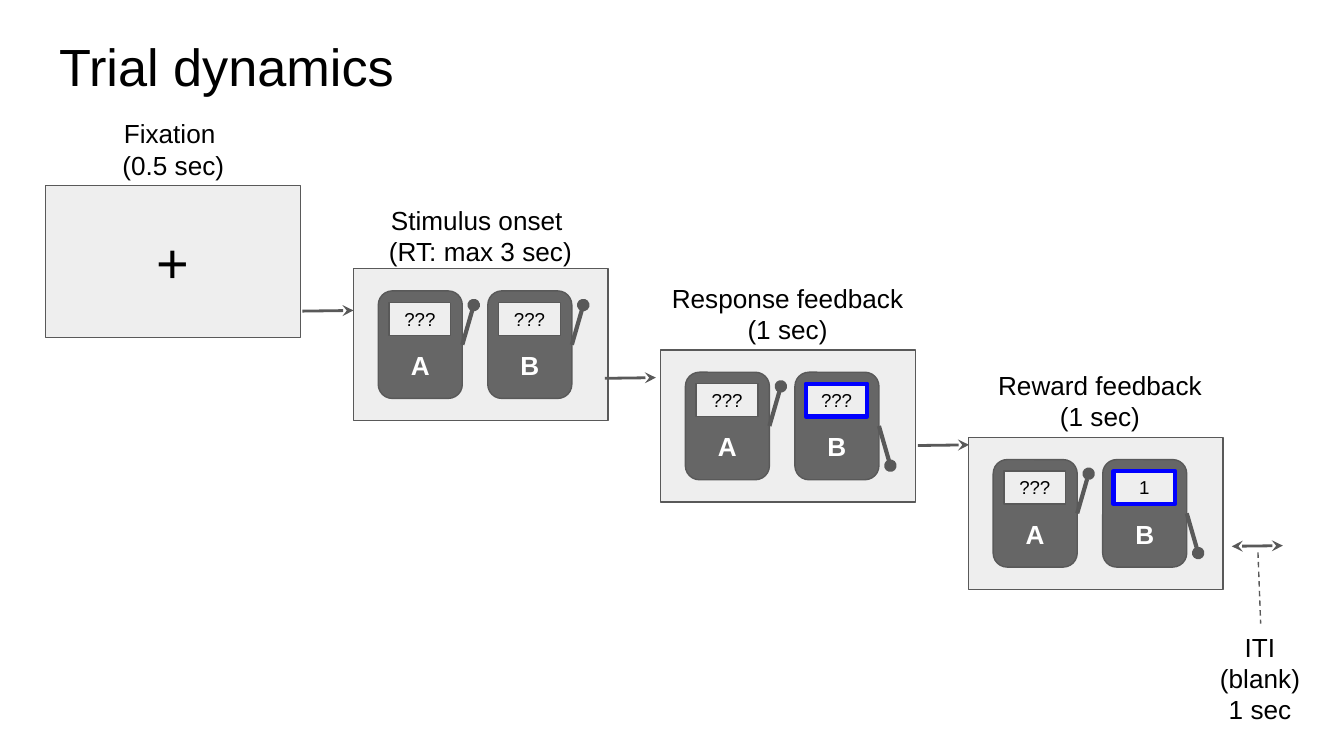
from dataclasses import dataclass

from lxml.etree import SubElement
from pptx import Presentation
from pptx.dml.color import RGBColor
from pptx.enum.dml import MSO_LINE
from pptx.enum.shapes import MSO_CONNECTOR, MSO_SHAPE
from pptx.enum.text import MSO_ANCHOR, MSO_AUTO_SIZE, PP_ALIGN
from pptx.oxml.ns import qn
from pptx.shapes.autoshape import Shape
from pptx.shapes.connector import Connector
from pptx.shapes.shapetree import GroupShapes, SlideShapes
from pptx.util import Emu, Pt

EMU_PER_PX = 4572
SLIDE_WIDTH, SLIDE_HEIGHT = 2000, 1125
FONT = "Arial"
BLACK = RGBColor(0x00, 0x00, 0x00)
WHITE = RGBColor(0xFF, 0xFF, 0xFF)
LIGHT_GRAY = RGBColor(0xEE, 0xEE, 0xEE)
MACHINE_GRAY = RGBColor(0x66, 0x66, 0x66)
LINE_GRAY = RGBColor(0x59, 0x59, 0x59)
CHOICE_BLUE = RGBColor(0x00, 0x00, 0xFF)
SCREEN_WIDTH, SCREEN_HEIGHT = 379, 226
MACHINE_WIDTH, MACHINE_HEIGHT = 125, 160
MACHINE_PITCH = 163


@dataclass(frozen=True)
class Box:
    left: int
    top: int
    width: int
    height: int

    def emu(self) -> list[Emu]:
        return [px(n) for n in (self.left, self.top, self.width, self.height)]


@dataclass(frozen=True)
class Machine:
    name: str
    display: str = "???"
    chosen: bool = False


@dataclass(frozen=True)
class Trial:
    left: int
    top: int
    machines: tuple[Machine, ...]


@dataclass(frozen=True)
class Label:
    box: Box
    lines: tuple[str, ...]
    anchor: MSO_ANCHOR = MSO_ANCHOR.TOP


@dataclass(frozen=True)
class Arrow:
    left: int
    top: int
    head: str = ""


TRIALS = (
    Trial(526, 400, (Machine("A"), Machine("B"))),
    Trial(983, 521, (Machine("A"), Machine("B", chosen=True))),
    Trial(1441, 651, (Machine("A"), Machine("B", "1", True))),
)
LABELS = (
    Label(Box(61, 155, 394, 94), ("Fixation ", "(0.5 sec)")),
    Label(Box(537, 284, 356, 144), ("Stimulus onset ", "(RT: max 3 sec)")),
    Label(Box(963, 400, 418, 144), ("Response feedback", "(1 sec)")),
    Label(Box(1440, 529, 394, 144), ("Reward feedback", "(1 sec)")),
    Label(Box(1783, 927, 184, 164), ("ITI", "(blank)", "1 sec"), MSO_ANCHOR.MIDDLE),
)
ARROWS = (Arrow(450, 463), Arrow(900, 563), Arrow(1366, 663), Arrow(1833, 813, "stealth"))


def px(length: int) -> Emu:
    return Emu(length * EMU_PER_PX)


def write(shape: Shape, lines: tuple[str, ...], size: int, color: RGBColor = BLACK,
          anchor: MSO_ANCHOR = MSO_ANCHOR.MIDDLE, bold: bool = False,
          align: PP_ALIGN = PP_ALIGN.CENTER) -> None:
    frame = shape.text_frame
    frame.word_wrap = True
    frame.auto_size = MSO_AUTO_SIZE.NONE
    frame.vertical_anchor = anchor
    frame.margin_left = frame.margin_right = px(20)
    frame.margin_top = frame.margin_bottom = px(20)
    frame.text = "\n".join(lines)
    for paragraph in frame.paragraphs:
        paragraph.alignment = align
        paragraph.font.name = FONT
        paragraph.font.size = Pt(size)
        paragraph.font.bold = bold
        paragraph.font.color.rgb = color


def add_panel(shapes: SlideShapes | GroupShapes, box: Box, fill: RGBColor = LIGHT_GRAY,
              line: RGBColor = LINE_GRAY, weight: float = 0.75,
              kind: MSO_SHAPE = MSO_SHAPE.RECTANGLE) -> Shape:
    shape = shapes.add_shape(kind, *box.emu())
    shape.shadow.inherit = False
    shape.fill.solid()
    shape.fill.fore_color.rgb = fill
    shape.line.color.rgb = line
    shape.line.width = Pt(weight)
    return shape


def add_line(shapes: SlideShapes | GroupShapes, start: tuple[int, int], end: tuple[int, int],
             weight: float, head: str = "", tail: str = "", dashed: bool = False) -> Connector:
    connector = shapes.add_connector(
        MSO_CONNECTOR.STRAIGHT, *(px(n) for n in (*start, *end)))
    connector.line.color.rgb = LINE_GRAY
    connector.line.width = Pt(weight)
    if dashed:
        connector.line.dash_style = MSO_LINE.DASH
    properties = connector._element.spPr
    outline = properties.find(qn("a:ln"))
    for tag, kind in (("a:headEnd", head), ("a:tailEnd", tail)):
        if kind:
            SubElement(outline, qn(tag), type=kind)
    SubElement(properties, qn("a:effectLst"))
    return connector


def add_machine(shapes: GroupShapes, machine: Machine, left: int, top: int) -> None:
    body = add_panel(shapes, Box(left, top, MACHINE_WIDTH, MACHINE_HEIGHT),
                     MACHINE_GRAY, kind=MSO_SHAPE.ROUNDED_RECTANGLE)
    write(body, (machine.name,), 14, WHITE, MSO_ANCHOR.BOTTOM, bold=True)
    line, weight = (CHOICE_BLUE, 2.25) if machine.chosen else (LINE_GRAY, 0.75)
    display = add_panel(shapes, Box(left + 16, top + 17, 92, 49), line=line, weight=weight)
    write(display, (machine.display,), 10)
    pivot = (left + MACHINE_WIDTH, top + 80)
    swing = 59 if machine.chosen else -59
    add_line(shapes, pivot, (pivot[0] + 17, pivot[1] + swing), 2.25, tail="oval")


def add_trial(shapes: SlideShapes, trial: Trial) -> None:
    group = shapes.add_group_shape().shapes
    add_panel(group, Box(trial.left, trial.top, SCREEN_WIDTH, SCREEN_HEIGHT))
    for index, machine in enumerate(trial.machines):
        add_machine(group, machine, trial.left + 37 + index * MACHINE_PITCH, trial.top + 33)


def add_label(shapes: SlideShapes, label: Label) -> None:
    write(shapes.add_textbox(*label.box.emu()), label.lines, 14, anchor=label.anchor)


def main() -> None:
    presentation = Presentation()
    presentation.slide_width = px(SLIDE_WIDTH)
    presentation.slide_height = px(SLIDE_HEIGHT)
    slide = presentation.slides.add_slide(presentation.slide_layouts[5])
    shapes = slide.shapes

    title = shapes.title
    title.left, title.top, title.width, title.height = Box(68, 31, 1864, 126).emu()
    write(title, ("Trial dynamics",), 28, anchor=MSO_ANCHOR.TOP, align=PP_ALIGN.LEFT)

    fixation = add_panel(shapes, Box(68, 276, SCREEN_WIDTH, SCREEN_HEIGHT))
    write(fixation, ("+",), 30)
    for trial in TRIALS:
        add_trial(shapes, trial)
    for label in LABELS:
        add_label(shapes, label)
    for arrow in ARROWS:
        add_line(shapes, (arrow.left, arrow.top), (arrow.left + 76, arrow.top - 1),
                 1.5, arrow.head, "stealth")
    add_line(shapes, (1872, 822), (1876, 928), 0.75, dashed=True)

    presentation.save("out.pptx")


if __name__ == "__main__":
    main()
